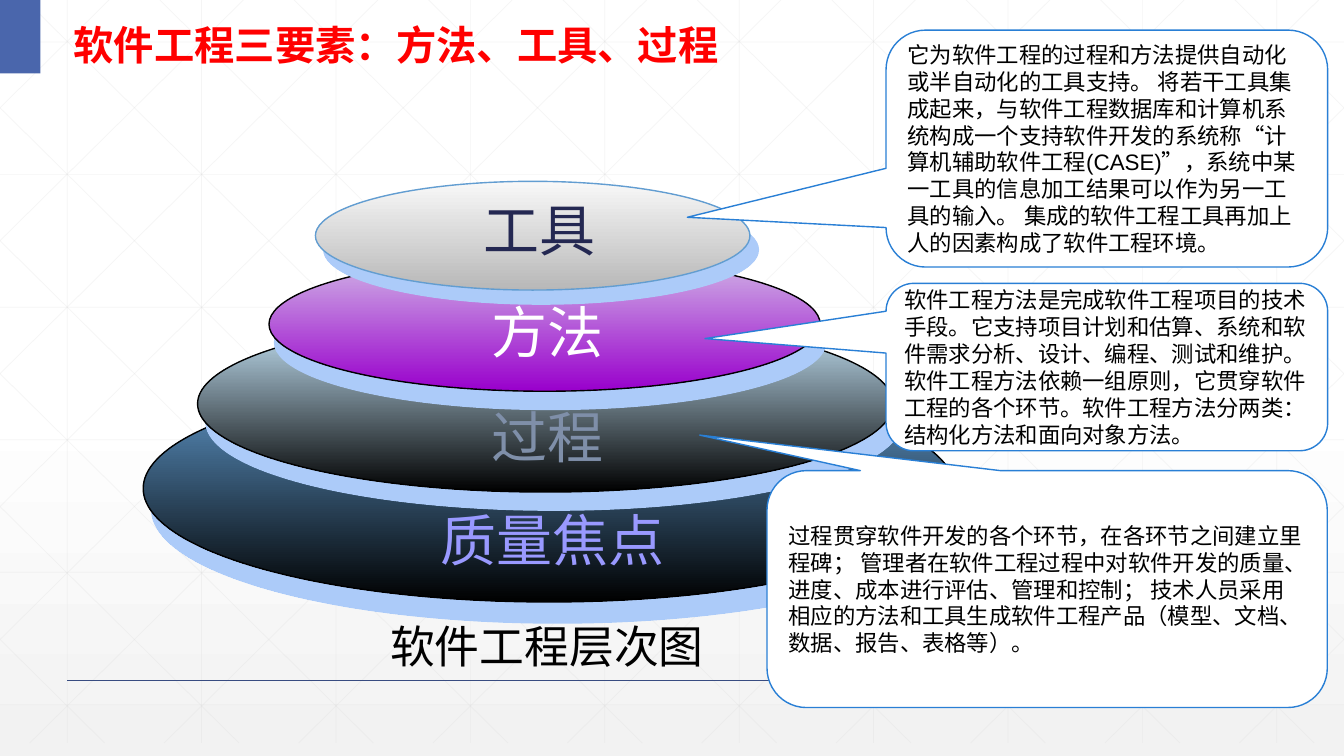
"""Build the slide on the three elements of software engineering."""
from lxml import etree
from pptx import Presentation
from pptx.dml.color import RGBColor
from pptx.enum.shapes import MSO_CONNECTOR, MSO_SHAPE
from pptx.enum.text import MSO_ANCHOR, MSO_AUTO_SIZE, PP_ALIGN
from pptx.oxml.ns import qn
from pptx.util import Cm, Pt

LINE = MSO_CONNECTOR.STRAIGHT
RECT = MSO_SHAPE.RECTANGLE
OVAL = MSO_SHAPE.OVAL
BUBBLE = MSO_SHAPE.ROUNDED_RECTANGULAR_CALLOUT
MIDDLE = MSO_ANCHOR.MIDDLE
FIXED = MSO_AUTO_SIZE.NONE
GROW = MSO_AUTO_SIZE.SHAPE_TO_FIT_TEXT
LEFT = PP_ALIGN.LEFT

HANZI = "Noto Sans CJK SC"
COLORS = {
    "white": "FFFFFF", "black": "000000", "mist": "F2F2F2", "grid": "D9D9D9",
    "rule": "384C81", "tab": "4A66AC", "red": "FF0000", "navy": "242852",
    "slate": "7F8FA9", "lilac": "9999FF", "sky": "629DD1", "ice": "CCECFF",
    "mauve": "D1B7E6", "purple": "9900CC", "pale": "F8F8F8", "gray": "B8B8B8",
    "shadow": "ACCBF9", "edge": "297FD5",
}
RGB = {name: RGBColor.from_string(code) for name, code in COLORS.items()}
HEAD = {"name": HANZI, "size": Pt(28.8), "bold": True}
LABEL = {"name": "Arial", "size": Pt(40)}
CAPTION = {"name": "Arial", "size": Pt(32)}
NOTE = {"name": "Arial", "size": Pt(16)}
WIDE, HIGH = 33.87, 19.05


def write(frame, words, look, hue):
    """Put one left-aligned paragraph in a frame."""
    para = frame.paragraphs[0]
    para.alignment = LEFT
    run = para.add_run()
    run.text = words
    for name, value in look.items():
        setattr(run.font, name, value)
    run.font.color.rgb = RGB[hue]
    props = run.font._element
    props.set("lang", "zh-CN")
    etree.SubElement(props, qn("a:ea"), typeface=HANZI)
    return para


def shade(fill, top, end):
    """Fade from the top colour down to the end colour."""
    fill.gradient()
    fill.gradient_angle = 270
    for stop, hue in zip(fill.gradient_stops, (top, end)):
        stop.color.rgb = RGB[hue]


deck = Presentation()
deck.slide_width, deck.slide_height = Cm(WIDE), Cm(HIGH)
slide = deck.slides.add_slide(deck.slide_layouts[5])
shapes = slide.shapes
back = slide.background.fill
shade(back, "white", "mist")
back.gradient_stops[0].position = 0.53

PITCH, DROP, RUN = WIDE / 10, 18.72, 18.93
lines = []
for col in range(10):
    x = PITCH * (col + 0.5)
    lines.append((x, 0, x, DROP, "grid", 0.5))
for row in range(6):
    y = 1.06 + 3.34 * row
    lines.append((0, y, WIDE, y, "grid", 0.5))
for step in range(-5, 10):
    start = 0.64 + PITCH * step
    x1, x2 = max(start, 0), min(start + RUN, WIDE)
    y1, y2 = [(x - start) * DROP / RUN for x in (x1, x2)]
    lines.append((x1, y1, x2, y2, "grid", 0.5))
    lines.append((WIDE - x1, y1, WIDE - x2, y2, "grid", 0.5))
lines.append((1.7, 17.15, 32.18, 17.15, "rule", 1))

for *ends, hue, width in lines:
    line = shapes.add_connector(LINE, *map(Cm, ends))
    line.line.color.rgb = RGB[hue]
    line.line.width = Pt(width)
    props = line.element.spPr
    if hue == "grid":
        color = props.find(".//" + qn("a:srgbClr"))
        etree.SubElement(color, qn("a:alpha"), val="25000")
    etree.SubElement(props, qn("a:effectLst"))

tab = shapes.add_shape(RECT, 0, 0, Cm(1.02), Cm(1.85))
tab.shadow.inherit = False
tab.fill.solid()
tab.fill.fore_color.rgb = RGB["tab"]
tab.line.fill.background()

title = shapes.title
title.element.getparent().append(title.element)
title.left, title.top, title.width, title.height = map(Cm, (1.6, 0, 17.75, 1.85))
title.text_frame.auto_size = FIXED
title.text_frame.vertical_anchor = MIDDLE
para = write(title.text_frame, "软件工程三要素：方法、工具、过程", HEAD, "red")
para.line_spacing = 1.3

LAYERS = [
    ((3.61, 9.45, 20.45, 5.72), "sky", "black", "black", 16.2, 68),
    ((4.98, 7.95, 17.53, 4.45), "ice", "black", "black", 14.3, 65),
    ((6.78, 6.48, 13.89, 3.38), "mauve", "purple", "black", 13.6, 73),
    ((7.95, 4.57, 10.95, 2.74), "pale", "gray", "sky", 11.7, 59),
]
for box, top, end, edge, dist, angle in LAYERS:
    disc = shapes.add_shape(OVAL, *map(Cm, box))
    shade(disc.fill, top, end)
    disc.line.color.rgb = RGB[edge]
    disc.line.width = Pt(1)
    disc.shadow.inherit = False
    effect = disc.element.spPr.find(qn("a:effectLst"))
    cast = etree.SubElement(effect, qn("a:outerShdw"), blurRad="0",
                            dist=str(Pt(dist)), dir=str(angle * 60000),
                            algn="ctr", rotWithShape="0")
    etree.SubElement(cast, qn("a:srgbClr"), val=COLORS["shadow"])

LABELS = [
    ("工具", (11.94, 4.8, 3.38, 1.96), LABEL, "navy"),
    ("方法", (12.14, 7.37, 3.38, 1.96), LABEL, "white"),
    ("过程", (12.14, 10.03, 3.38, 1.96), LABEL, "slate"),
    ("质量焦点", (10.85, 12.62, 7.04, 1.91), LABEL, "lilac"),
    ("软件工程层次图", (9.58, 15.47, 9.5, 1.6), CAPTION, "black"),
]
for words, box, look, hue in LABELS:
    frame = shapes.add_textbox(*map(Cm, box)).text_frame
    frame.word_wrap = len(words) > 2
    frame.auto_size = GROW
    write(frame, words, look, hue)

NOTES = [
    ((19.33, 11.86, 14.12, 5.97), (-0.62, -0.65),
     "过程贯穿软件开发的各个环节，在各环节之间建立里程碑； "
     "管理者在软件工程过程中对软件开发的质量、进度、成本进行评估、管理和控制； "
     "技术人员采用相应的方法和工具生成软件工程产品（模型、文档、数据、报告、表格等）。"),
    ((22.33, 7.14, 11.13, 4.22), (-0.91, -0.17),
     "软件工程方法是完成软件工程项目的技术手段。"
     "它支持项目计划和估算、系统和软件需求分析、设计、编程、测试和维护。"
     "软件工程方法依赖一组原则，它贯穿软件工程的各个环节。"
     "软件工程方法分两类：结构化方法和面向对象方法。"),
    ((22.33, 0.76, 11.13, 5.97), (-0.95, 0.29),
     "它为软件工程的过程和方法提供自动化或半自动化的工具支持。 "
     "将若干工具集成起来，与软件工程数据库和计算机系统构成一个支持软件开发的系统称"
     "“计算机辅助软件工程(CASE)”，系统中某一工具的信息加工结果可以作为另一工具的输入。 "
     "集成的软件工程工具再加上人的因素构成了软件工程环境。"),
]
for box, tip, words in NOTES:
    note = shapes.add_shape(BUBBLE, *map(Cm, box))
    note.adjustments[0], note.adjustments[1] = tip
    note.shadow.inherit = False
    note.fill.solid()
    note.fill.fore_color.rgb = RGB["white"]
    note.line.color.rgb = RGB["edge"]
    note.line.width = Pt(1)
    note.text_frame.word_wrap = True
    note.text_frame.vertical_anchor = MIDDLE
    write(note.text_frame, words, NOTE, "black")

deck.save("out.pptx")
